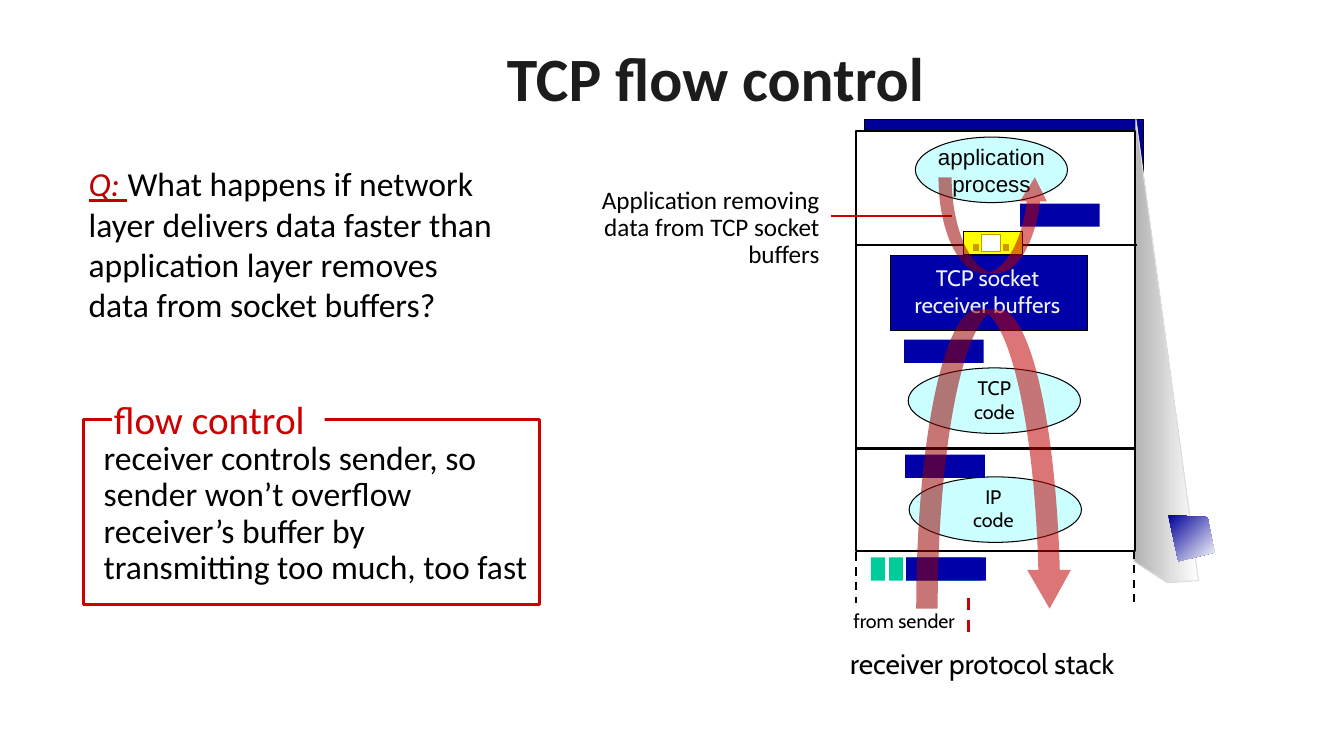
import dataclasses
import typing

import lxml.etree
import pptx
import pptx.dml.color
import pptx.enum.dml
import pptx.enum.shapes
import pptx.enum.text
import pptx.oxml.ns

Pt = pptx.util.Pt
KIND = pptx.enum.shapes.MSO_SHAPE
ALIGN = pptx.enum.text.PP_ALIGN
MIDDLE = pptx.enum.text.MSO_ANCHOR.MIDDLE

HUES = {
    "black": "000000", "white": "FFFFFF", "ink": "1C1C1C", "pale": "F2F2F2",
    "red": "CC0000", "wine": "C00000", "navy": "000099", "blue": "0000A8",
    "aqua": "CCFFFF", "green": "00CC99", "yellow": "FFFF00", "gold": "CC9900",
    "grey": "B2B2B2", "mist": "DDDDDD",
}


@dataclasses.dataclass
class Box:
    at: tuple[float, float, float, float]
    fill: str
    edge: str = ""
    width: float = 0.75
    kind: typing.Any = KIND.RECTANGLE


@dataclasses.dataclass
class Rule:
    start: tuple[float, float]
    end: tuple[float, float]
    hue: str
    width: float = 1.5
    dash: bool = False


@dataclasses.dataclass
class Label:
    at: tuple[float, float, float, float]
    text: str
    size: float
    face: str = "Cabin"
    hue: str = "black"
    align: typing.Any = ALIGN.CENTER
    wrap: bool = False
    space: float = 1.0
    lead: str = ""


@dataclasses.dataclass
class Patch:
    dots: list[tuple[float, float]]
    hue: str
    angle: float
    edge: str = ""


@dataclasses.dataclass
class Flow:
    at: tuple[float, float, float, float]
    upturned: bool = False


def packet(left: float, top: float, width: float = 56.9, hue: str = "blue") -> Box:
    return Box((left, top, width, 16.6), hue)


def oval(left: float, top: float, width: float = 123.1) -> Box:
    return Box((left, top, width, 46.8), "aqua", "black", kind=KIND.OVAL)


def window(left: float, top: float, width: float, height: float, fill: str, edge: str) -> Box:
    return Box((left, top, width, height), fill, edge)


def rgb(hue: str) -> pptx.dml.color.RGBColor:
    return pptx.dml.color.RGBColor.from_string(HUES[hue])


def assign(target: typing.Any, values: dict[str, typing.Any]) -> None:
    for name, value in values.items():
        setattr(target, name, value)


def points(values: typing.Iterable[float]) -> list[int]:
    return [Pt(value) for value in values]


def outline(shape: typing.Any, hue: str, width: float) -> None:
    if hue:
        shape.line.color.rgb = rgb(hue)
        shape.line.width = Pt(width)
    else:
        shape.line.fill.background()


def draw_box(shapes: typing.Any, box: Box) -> typing.Any:
    shape = shapes.add_shape(box.kind, *points(box.at))
    shape.shadow.inherit = False
    shape.fill.solid()
    shape.fill.fore_color.rgb = rgb(box.fill)
    outline(shape, box.edge, box.width)
    return shape


def draw_rule(shapes: typing.Any, rule: Rule) -> None:
    line = shapes.add_connector(pptx.enum.shapes.MSO_CONNECTOR.STRAIGHT,
                                *points(rule.start + rule.end))
    outline(line, rule.hue, rule.width)
    if rule.dash:
        line.line.dash_style = pptx.enum.dml.MSO_LINE.DASH
    lxml.etree.SubElement(line._element.spPr, pptx.oxml.ns.qn("a:effectLst"))


def fill_text(frame: typing.Any, label: Label) -> None:
    assign(frame, {"text": label.text, "word_wrap": label.wrap})
    for para in frame.paragraphs:
        assign(para, {"alignment": label.align, "line_spacing": label.space})
        if label.lead:
            para.runs[0].text = label.lead
            para.add_run().text = label.text
        for run in para.runs:
            assign(run.font, {"name": label.face, "size": Pt(label.size)})
            run.font.color.rgb = rgb(label.hue)
        if label.lead:
            assign(para.runs[0].font, {"italic": True, "underline": True})
            para.runs[0].font.color.rgb = rgb("wine")


def draw_label(shapes: typing.Any, label: Label) -> None:
    fill_text(shapes.add_textbox(*points(label.at)).text_frame, label)


def draw_patch(shapes: typing.Any, patch: Patch) -> None:
    first, *rest = [tuple(points(dot)) for dot in patch.dots]
    maker = shapes.build_freeform(*first)
    maker.add_line_segments(rest)
    shape = maker.convert_to_shape()
    shape.shadow.inherit = False
    shape.fill.gradient()
    shape.fill.gradient_angle = patch.angle
    for stop, hue, place in zip(shape.fill.gradient_stops, (patch.hue, "white"), (0, 1)):
        stop.color.rgb = rgb(hue)
        stop.position = place
    outline(shape, patch.edge, 0.75)


def draw_flow(shapes: typing.Any, flow: Flow) -> None:
    shape = draw_box(shapes, Box(flow.at, "wine", kind=KIND.CURVED_DOWN_ARROW))
    for index, value in enumerate((0.138, 0.282, 0.25)):
        shape.adjustments[index] = value
    tint = shape._element.spPr.find(".//" + pptx.oxml.ns.qn("a:srgbClr"))
    lxml.etree.SubElement(tint, pptx.oxml.ns.qn("a:alpha"), val="54000")
    if flow.upturned:
        shape.rotation = 180
        shape._element.spPr.xfrm.set("flipH", "1")


DRAW = {Box: draw_box, Rule: draw_rule, Label: draw_label, Patch: draw_patch, Flow: draw_flow}

STACK = [
    Box((617.8, 85.7, 198.7, 303.8), "navy", "black"),
    Patch([(856.1, 414.7), (811.4, 85), (810, 401), (833.8, 416.2)], "grey", 0, "mist"),
    Box((611.3, 93.6, 199.4, 300.2), "white", "black", 1.5),
]
LAYERS = [
    Box((635.8, 182.2, 141.1, 54), "blue", "black"),
    Label((643, 185, 124.6, 46.1), "TCP socket\nreceiver buffers", 16, hue="pale"),
    oval(648.7, 262.8),
    Label((688.3, 265, 43.9, 41), "TCP\ncode", 14),
    oval(649.4, 340.6),
    Label((687.6, 342.7, 43.9, 41), "IP\ncode", 14),
    Rule((610.6, 320.4), (811.4, 320.4), "black"),
    Rule((612, 175), (812.2, 175), "black"),
    window(688.3, 165.6, 41.8, 16.6, "yellow", "black"),
    window(701.3, 167.8, 13.7, 12.2, "white", "gold"),
    *(window(left, 175, 3.6, 4.3, "gold", "gold") for left in (717.1, 695.5)),
    Label((594.7, 458.6, 213.8, 31), "receiver protocol stack", 20),
    Rule((691.9, 427), (691.9, 454.3), "red", 2.25, True),
    Rule((810, 393.1), (810, 429.8), "black", dash=True),
    Patch([(834.5, 367.9), (862.6, 369.4), (867.6, 394.6), (841.7, 401)], "navy", 315),
]
NOTES = [
    Label((56.2, 113, 303.1, 123.8),
          "What happens if network layer delivers data faster than application layer "
          "removes data from socket buffers?",
          24, "Calibri", align=ALIGN.LEFT, wrap=True, lead="Q: "),
    Box((59.8, 299.5, 325.4, 132.5), "white", "red", 2.25),
    Label((67, 311.8, 320.4, 112.3),
          "receiver controls sender, so sender won’t overflow receiver’s buffer by "
          "transmitting too much, too fast",
          24, "Calibri", align=ALIGN.LEFT, wrap=True, space=0.9),
    Box((79.9, 290.2, 151.9, 28.1), "white"),
    Label((74.2, 278.6, 152.6, 41), "flow control", 28, "Calibri", "red", ALIGN.LEFT),
]
FLOWS = [
    Rule((611.3, 394.6), (611.3, 430.6), "black", dash=True),
    packet(646.6, 324.7),
    packet(622.1, 398.2, 79.2, "green"),
    packet(646.6, 398.2, 57.6),
    *(Rule((left, 398.2), (left, 414.7), "white", 2.25) for left in (633.6, 645.8)),
    packet(645.8, 242.6),
    Label((601.2, 431.3, 89.3, 23.8), "from sender", 14),
    Flow((654.5, 221, 110.9, 213.8)),
    Rule((593.3, 154.1), (679.7, 154.1), "red"),
    Label((393.1, 130.3, 199.4, 66.2), "Application removing data from TCP socket buffers",
          18, "Calibri", align=ALIGN.RIGHT, wrap=True, space=0.9),
    packet(728.6, 145.4),
    Flow((670.3, 126.7, 78.5, 68.4), True),
]


def draw_all(shapes: typing.Any, items: list[typing.Any]) -> None:
    for item in items:
        DRAW[type(item)](shapes, item)


def main() -> None:
    deck = pptx.Presentation()
    assign(deck, {"slide_width": Pt(960), "slide_height": Pt(540)})
    shapes = deck.slides.add_slide(deck.slide_layouts[5]).shapes
    title = shapes.title
    heading = Label((62.6, 23, 897.1, 70.6), "TCP flow control", 44, "Calibri", "ink",
                    wrap=True, space=0.9)
    assign(title, dict(zip(("left", "top", "width", "height"), points(heading.at))))
    fill_text(title.text_frame, heading)
    title.text_frame.vertical_anchor = MIDDLE
    title.text_frame.paragraphs[0].runs[0].font.bold = True

    draw_all(shapes, STACK)
    process = Label((653.8, 97.9, 108.7, 46.8), "application\nprocess", 16, "Arial")
    frame = draw_box(shapes, oval(*process.at[:3])).text_frame
    fill_text(frame, process)
    frame.vertical_anchor = MIDDLE
    draw_all(shapes, LAYERS + NOTES + FLOWS)
    deck.save("out.pptx")


if __name__ == "__main__":
    main()
